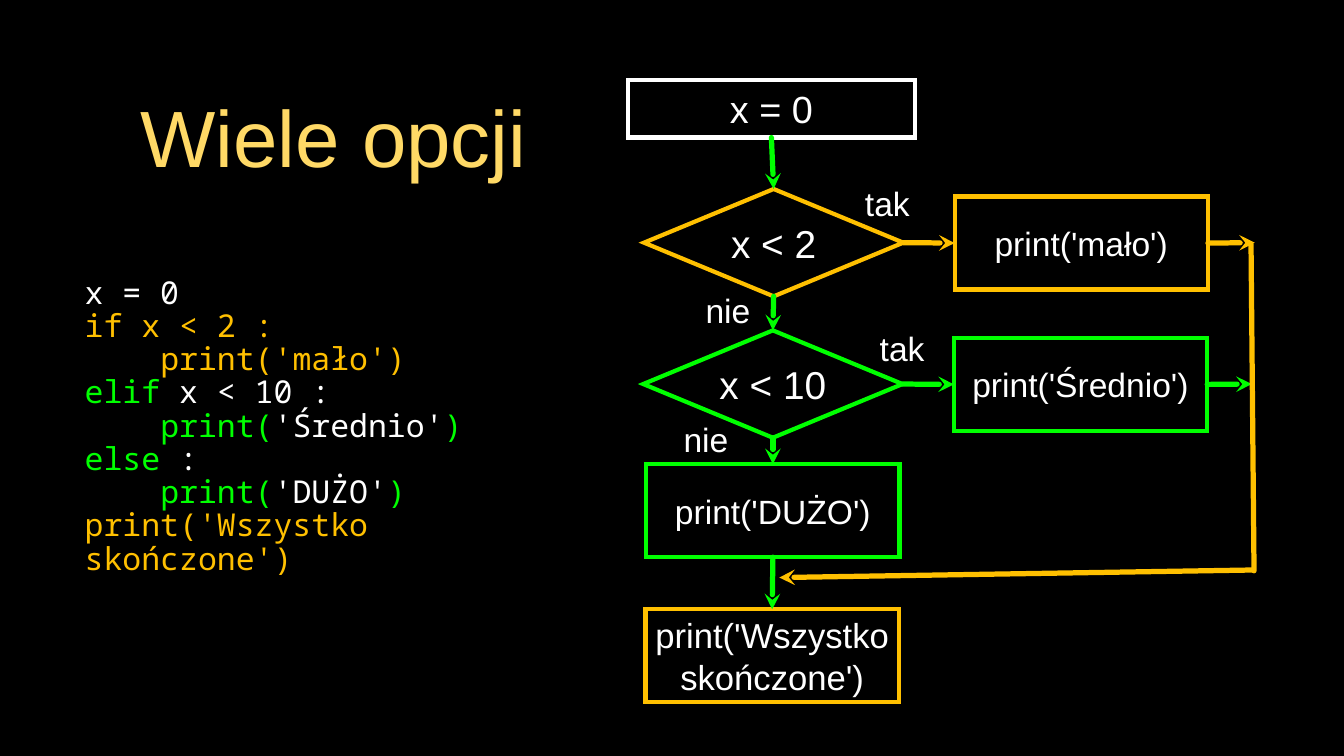
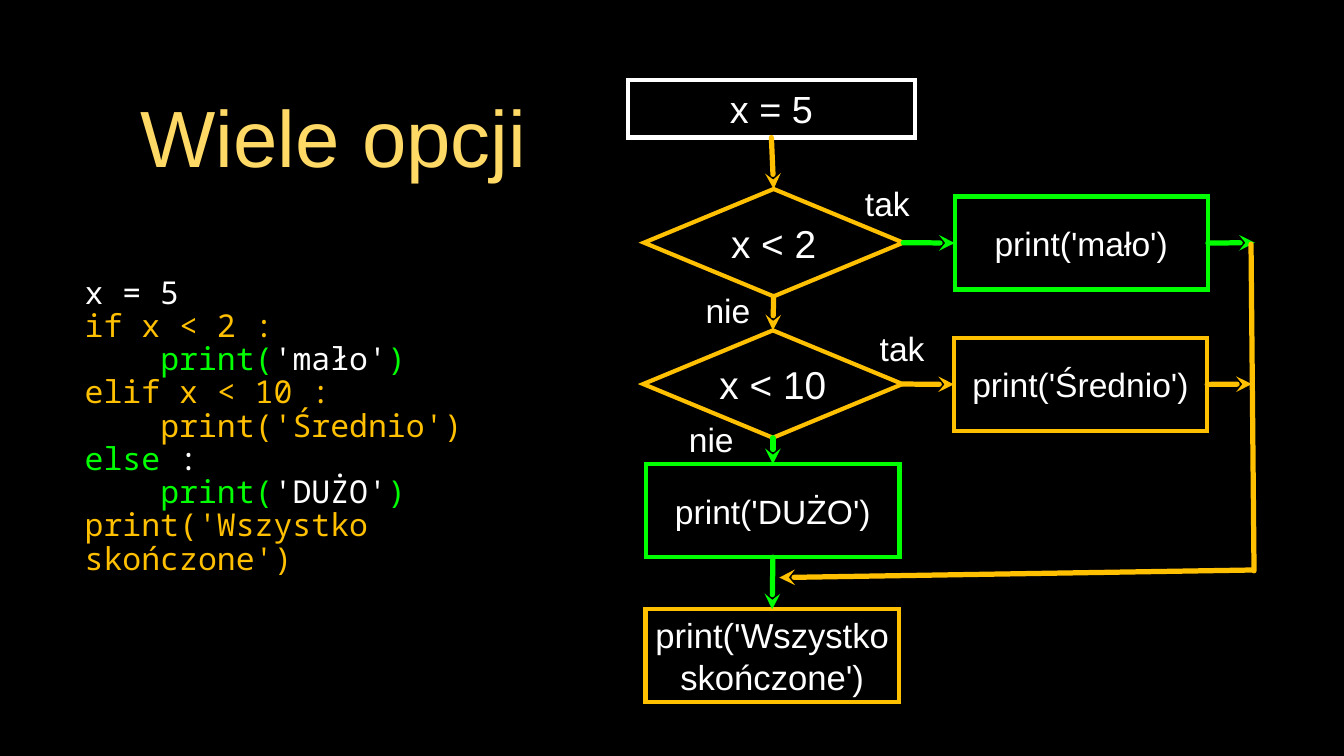
from lxml import etree
from pptx import Presentation
from pptx.dml.color import RGBColor
from pptx.enum.shapes import MSO_CONNECTOR, MSO_SHAPE
from pptx.enum.text import MSO_ANCHOR, MSO_AUTO_SIZE, PP_ALIGN
from pptx.oxml.ns import qn
from pptx.util import Inches, Pt

RECTANGLE = MSO_SHAPE.RECTANGLE
DIAMOND = MSO_SHAPE.DIAMOND
STRAIGHT = MSO_CONNECTOR.STRAIGHT
MIDDLE = MSO_ANCHOR.MIDDLE
NO_AUTOFIT = MSO_AUTO_SIZE.NONE
LEFT, CENTER = PP_ALIGN.LEFT, PP_ALIGN.CENTER
TOP_SIDE, LEFT_SIDE, BOTTOM_SIDE, RIGHT_SIDE = range(4)

COLORS = {
    "background": "000000",
    "title": "FFD966",
    "text": "FFFFFF",
    "gold": "FFC000",
    "green": "00FF00",
}
SANS = "Arial"
MONO = "Noto Sans Mono"
CODE_INDENT = Inches(1)
BOX_SIZE = (3.35, 1.23)
DIAMOND_SIZE = (3.43, 1.42)
FINAL_CALL = "print('Wszystko skończone')"


def rgb(name):
    return RGBColor.from_string(COLORS[name])


def write_text(shape, content, size=32, font=SANS, color="text",
               align=CENTER, inset=0, spacing=None):
    lines = [(0, [(content, color)])] if isinstance(content, str) else content
    frame = shape.text_frame
    frame.word_wrap = True
    frame.auto_size = NO_AUTOFIT
    frame.vertical_anchor = MIDDLE
    frame.margin_left = frame.margin_right = Inches(inset)
    frame.margin_top = frame.margin_bottom = Inches(inset)
    for index, (level, parts) in enumerate(lines):
        paragraph = frame.add_paragraph() if index else frame.paragraphs[0]
        paragraph.alignment = align
        if spacing:
            paragraph.line_spacing = spacing
        if level:
            paragraph._p.get_or_add_pPr().set("marL", str(level * CODE_INDENT))
        for text, part_color in parts:
            run = paragraph.add_run()
            run.text = text
            run.font.size = Pt(size)
            run.font.name = font
            run.font.color.rgb = rgb(part_color)


def place(shape, left, top, width, height):
    shape.left, shape.top = Inches(left), Inches(top)
    shape.width, shape.height = Inches(width), Inches(height)


def add_title(slide, text):
    title = slide.shapes.title
    place(title, 1.26, 0.82, 6.3, 1.96)
    write_text(title, text, size=76, color="title", inset=0.04)


def add_text(slide, left, top, width, height, content, **text_format):
    box = slide.shapes.add_textbox(
        Inches(left), Inches(top), Inches(width), Inches(height))
    write_text(box, content, **text_format)


def add_node(slide, kind, left, top, size, text, color, text_size=32):
    node = slide.shapes.add_shape(
        kind, Inches(left), Inches(top), Inches(size[0]), Inches(size[1]))
    node.shadow.inherit = False
    node.fill.background()
    node.line.color.rgb = rgb(color)
    node.line.width = Pt(4)
    etree.SubElement(node.line._ln, qn("a:miter"), lim="800000")
    write_text(node, text, size=text_size)
    return node


def add_line(slide, color, start=(0, 0), end=(0, 0), source=None, target=None,
             arrow=True):
    line = slide.shapes.add_connector(
        STRAIGHT, Inches(start[0]), Inches(start[1]),
        Inches(end[0]), Inches(end[1]))
    if source:
        line.begin_connect(*source)
    if target:
        line.end_connect(*target)
    line.line.color.rgb = rgb(color)
    line.line.width = Pt(5)
    outline = line.line._ln
    outline.set("cap", "rnd")
    etree.SubElement(outline, qn("a:round"))
    if arrow:
        etree.SubElement(outline, qn("a:tailEnd"), type="stealth")
    etree.SubElement(line._element.spPr, qn("a:effectLst"))


def keyword_line(keyword, rest, highlighted):
    if highlighted:
        return 0, [(keyword + rest, "gold")]
    return 0, [(keyword, "green"), (rest, "text")]


def print_line(word, highlighted):
    if highlighted:
        return 1, [(f"print('{word}')", "gold")]
    return 1, [("print(", "green"), (f"'{word}'", "text"), (")", "green")]


def add_code(slide, value, small, medium):
    lines = [
        (0, [(f"x = {value}", "text")]),
        keyword_line("if", " x < 2 :", True),
        print_line("mało", small),
        keyword_line("elif", " x < 10 :", medium),
        print_line("Średnio", medium),
        keyword_line("else", " :", False),
        print_line("DUŻO", False),
        (0, [(FINAL_CALL, "gold")]),
    ]
    add_text(slide, 1.12, 3.21, 5.58, 4.88, lines, size=30, font=MONO,
             align=LEFT, spacing=0.88)


def add_flowchart(slide, value, small, medium, second_no_left):
    small_color = "gold" if small else "green"
    medium_color = "gold" if medium else "green"

    start = add_node(slide, RECTANGLE, 8.31, 1.06, (3.79, 0.76),
                     f"x = {value}", "text", 36)
    first_test = add_node(slide, DIAMOND, 8.52, 2.5, DIAMOND_SIZE,
                          "x < 2", "gold", 37)
    second_test = add_node(slide, DIAMOND, 8.51, 4.37, DIAMOND_SIZE,
                           "x < 10", medium_color, 37)
    small_box = add_node(slide, RECTANGLE, 12.63, 2.6, BOX_SIZE,
                         "print('mało')", small_color)
    medium_box = add_node(slide, RECTANGLE, 12.62, 4.47, BOX_SIZE,
                          "print('Średnio')", medium_color)
    large_box = add_node(slide, RECTANGLE, 8.55, 6.14, BOX_SIZE,
                         "print('DUŻO')", "green")
    final_box = add_node(slide, RECTANGLE, 8.54, 8.06, BOX_SIZE,
                         FINAL_CALL, "gold", 33)

    for upper, lower, color in (
            (start, first_test, medium_color),
            (first_test, second_test, medium_color),
            (second_test, large_box, "green"),
            (large_box, final_box, "green")):
        add_line(slide, color, source=(upper, BOTTOM_SIDE),
                 target=(lower, TOP_SIDE))

    for test, box, exit_end, color in (
            (first_test, small_box, (16.6, 3.21), small_color),
            (second_test, medium_box, (16.56, 5.08), medium_color)):
        add_line(slide, color, source=(test, RIGHT_SIDE),
                 target=(box, LEFT_SIDE))
        add_line(slide, color, end=exit_end, source=(box, RIGHT_SIDE))

    add_line(slide, "gold", (16.55, 3.23), (16.59, 7.55), arrow=False)
    add_line(slide, "gold", (16.57, 7.54), (10.31, 7.64))

    for text, left, top, width in (
            ("tak", 11.36, 2.41, 0.76),
            ("nie", 9.27, 3.83, 0.72),
            ("tak", 11.51, 4.34, 0.85),
            ("nie", second_no_left, 5.54, 0.9)):
        add_text(slide, left, top, width, 0.54, text)


def add_options_slide(presentation, value, small, medium, second_no_left):
    slide = presentation.slides.add_slide(presentation.slide_layouts[5])
    add_title(slide, "Wiele opcji")
    add_code(slide, value, small, medium)
    add_flowchart(slide, value, small, medium, second_no_left)


def main():
    presentation = Presentation()
    presentation.slide_width = Inches(17.78)
    presentation.slide_height = Inches(10)
    background = presentation.slide_master.background.fill
    background.solid()
    background.fore_color.rgb = rgb("background")
    add_options_slide(presentation, 0, True, False, 8.89)
    add_options_slide(presentation, 5, False, True, 8.96)
    presentation.save("out.pptx")


if __name__ == "__main__":
    main()
